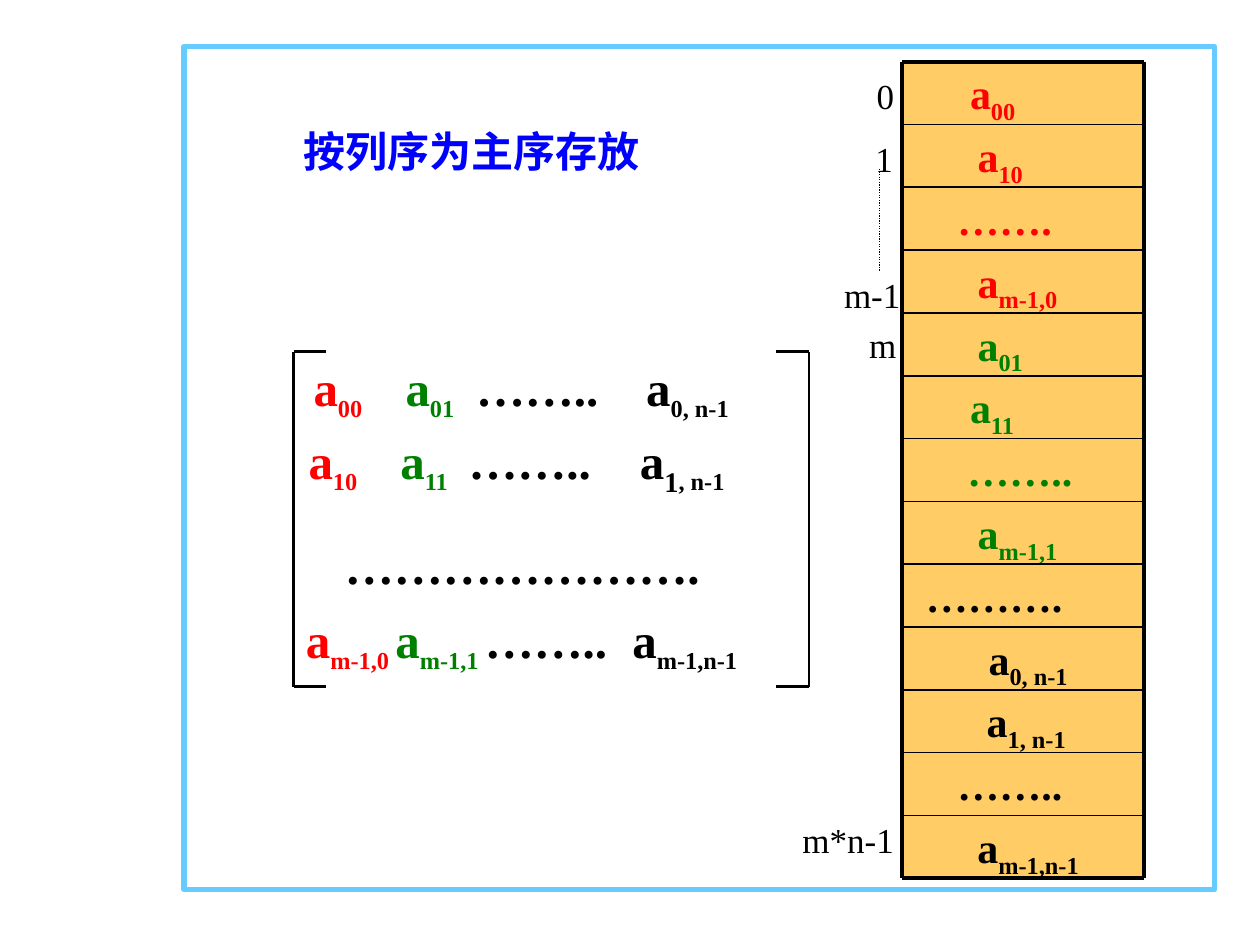
import pptx
import pptx.dml.color
import pptx.enum.dml
import pptx.enum.shapes
import pptx.enum.text
import pptx.oxml.ns
import pptx.util
from lxml import etree
from pptx.util import Inches

RGB = pptx.dml.color.RGBColor
BLACK = RGB(0x00, 0x00, 0x00)
WHITE = RGB(0xFF, 0xFF, 0xFF)
RED = RGB(0xFF, 0x00, 0x00)
GREEN = RGB(0x00, 0x80, 0x00)
BLUE = RGB(0x00, 0x00, 0xFF)
SKY = RGB(0x66, 0xCC, 0xFF)
AMBER = RGB(0xFF, 0xCC, 0x66)
FONT = "Times New Roman"

MEMORY_LEFT, MEMORY_RIGHT = 7.16, 9.08
MEMORY_TOP, MEMORY_BOTTOM = 0.49, 6.97

# Stem, subscript, colour, indent in inches, centred
MEMORY_CELLS = [
    ("a", "00", RED, 0.44, False),
    ("a", "10", RED, 0.5, False),
    ("…….", "", RED, 0.34, False),
    ("a", "m-1,0", RED, 0.5, False),
    ("a", "01", GREEN, 0.5, False),
    ("a", "11", GREEN, 0.44, False),
    ("……..", "", GREEN, 0.42, False),
    ("a", "m-1,1", GREEN, 0.5, False),
    ("……….", "", BLACK, 0.09, False),
    ("a", "0, n-1", BLACK, 0.08, True),
    ("a", "1, n-1", BLACK, 0.05, True),
    ("……..", "", BLACK, 0.34, False),
    ("a", "m-1,n-1", BLACK, 0.08, True),
]

ADDRESSES = [
    ("0", 6.86, 0.54, 0.34),
    ("1", 6.85, 1.04, 0.34),
    ("m-1", 6.6, 2.12, 0.65),
    ("m", 6.8, 2.52, 0.41),
    ("m*n-1", 6.27, 6.45, 0.98),
]

# Top, width, then one (tab stop, stem, colour, (subscript, size)...) per term
MATRIX_ROWS = [
    (2.79, 4.79, [(1.01, "a", RED, ("00", 24)), (1.74, "a", GREEN, ("01", 24)),
                  (2.3, "……..", BLACK), (3.65, "a", BLACK, ("0, n-1", 24))]),
    (3.37, 5.22, [(0.97, "a", RED, ("10", 24)), (1.7, "a", GREEN, ("11", 24)),
                  (2.24, "……..", BLACK),
                  (3.6, "a", BLACK, ("1", 28), (", n-1", 24))]),
    (4.2, 4.87, [(1.26, "………………….", BLACK)]),
    (4.79, 5.92, [(0.95, "a", RED, ("m-1,0", 24)),
                  (1.66, "a", GREEN, ("m-1,1", 24)),
                  (2.37, "……..", BLACK), (3.54, "a", BLACK, ("m-1,n-1", 24))]),
]


def set_font(font, size, color=None, bold=False):
    font.name = FONT
    font.size = pptx.util.Pt(size)
    font.bold = bold
    if color is not None:
        font.color.rgb = color


def add_span(para, text, subscript=False):
    span = para.add_run()
    span.text = text
    if subscript:
        span._r.get_or_add_rPr().set("baseline", "-25000")
    return span


def set_indent(para, inches):
    properties = para._p.get_or_add_pPr()
    properties.set("marL", str(Inches(inches)))
    properties.set("indent", "0")


def set_tabs(para, stops):
    tag = pptx.oxml.ns.qn
    tabs = etree.SubElement(para._p.get_or_add_pPr(), tag("a:tabLst"))
    for stop in stops:
        etree.SubElement(tabs, tag("a:tab"), pos=str(Inches(stop)), algn="l")


def add_line(page, start, end, width, dash=None):
    line = page.shapes.add_connector(
        pptx.enum.shapes.MSO_CONNECTOR.STRAIGHT, *map(Inches, start + end))
    line.line.color.rgb = BLACK
    line.line.width = pptx.util.Pt(width)
    if dash is not None:
        line.line.dash_style = dash
    etree.SubElement(line._element.spPr, pptx.oxml.ns.qn("a:effectLst"))


def add_rectangle(page, left, top, width, height, fill):
    box = page.shapes.add_shape(
        pptx.enum.shapes.MSO_SHAPE.RECTANGLE,
        *map(Inches, (left, top, width, height)))
    box.shadow.inherit = False
    box.fill.solid()
    box.fill.fore_color.rgb = fill
    box.line.fill.background()
    return box


def add_text_box(page, left, top, width, height):
    """Add a text box that grows with its text and return its paragraph."""
    box = page.shapes.add_textbox(*map(Inches, (left, top, width, height)))
    box.text_frame.word_wrap = True
    box.text_frame.auto_size = pptx.enum.text.MSO_AUTO_SIZE.SHAPE_TO_FIT_TEXT
    return box.text_frame.paragraphs[0]


def add_label(page, text, left, top, width):
    """Add a one-line label that keeps its size."""
    box = page.shapes.add_textbox(*map(Inches, (left, top, width, 0.44)))
    box.text_frame.word_wrap = False
    box.text_frame.auto_size = pptx.enum.text.MSO_AUTO_SIZE.NONE
    # The narrow right margin leaves room for the whole label
    box.text_frame.margin_right = Inches(0.05)
    para = box.text_frame.paragraphs[0]
    para.alignment = pptx.enum.text.PP_ALIGN.LEFT
    add_span(para, text)
    set_font(para.font, 20, BLACK)


def add_frame(page):
    frame = add_rectangle(page, 1.46, 0.37, 8.18, 6.69, WHITE)
    frame.line.color.rgb = SKY
    frame.line.width = pptx.util.Pt(3)


def add_title(page):
    para = add_text_box(page, 2.16, 0.95, 3.22, 0.5)
    set_indent(para, 0.15)
    add_span(para, "按列序为主序存放")
    set_font(para.font, 24, BLUE, True)


def add_addresses(page):
    for address in ADDRESSES:
        add_label(page, *address)
    add_line(page, (6.98, 1.34), (6.98, 2.15), 0.75,
             pptx.enum.dml.MSO_LINE.ROUND_DOT)


def add_memory(page):
    count = len(MEMORY_CELLS)
    step = (MEMORY_BOTTOM - MEMORY_TOP) / count
    width = MEMORY_RIGHT - MEMORY_LEFT
    align = pptx.enum.text.PP_ALIGN
    for index, (stem, sub, color, indent, centred) in enumerate(MEMORY_CELLS):
        cell = add_rectangle(page, MEMORY_LEFT, MEMORY_TOP + index * step,
                             width, step, AMBER)
        cell.text_frame.vertical_anchor = pptx.enum.text.MSO_ANCHOR.TOP
        para = cell.text_frame.paragraphs[0]
        para.alignment = align.CENTER if centred else align.LEFT
        set_indent(para, indent)
        add_span(para, stem)
        if sub:
            add_span(para, sub, subscript=True)
        set_font(para.font, 24, color, True)
        for span in para.runs:
            span.font.color.rgb = color
    for index in range(count + 1):
        y = MEMORY_TOP + index * step
        add_line(page, (MEMORY_LEFT, y), (MEMORY_RIGHT, y),
                 2.25 if index in (0, count) else 1)
    for x in (MEMORY_LEFT, MEMORY_RIGHT):
        add_line(page, (x, MEMORY_TOP), (x, MEMORY_BOTTOM), 2.25)


def add_matrix(page):
    for top, width, terms in MATRIX_ROWS:
        para = add_text_box(page, 1.38, top, width, 0.63)
        set_tabs(para, [term[0] for term in terms])
        set_font(para.font, 28, bold=True)
        for _, stem, color, *subscripts in terms:
            add_span(para, "\t" + stem).font.color.rgb = color
            for text, size in subscripts:
                span = add_span(para, text, subscript=True)
                span.font.size = pptx.util.Pt(size)
                span.font.color.rgb = color


def add_bracket(page, x, tip):
    top, bottom = 2.79, 5.45
    add_line(page, (x, top), (x, bottom), 1.5)
    for y in (top, bottom):
        add_line(page, (min(x, tip), y), (max(x, tip), y), 1.5)


def main():
    deck = pptx.Presentation()
    deck.slide_width, deck.slide_height = Inches(10), Inches(7.5)
    page = deck.slides.add_slide(deck.slide_layouts[6])
    add_frame(page)
    add_title(page)
    add_addresses(page)
    add_memory(page)
    add_matrix(page)
    add_bracket(page, 2.33, 2.59)
    add_bracket(page, 6.42, 6.16)
    deck.save("out.pptx")


if __name__ == "__main__":
    main()
